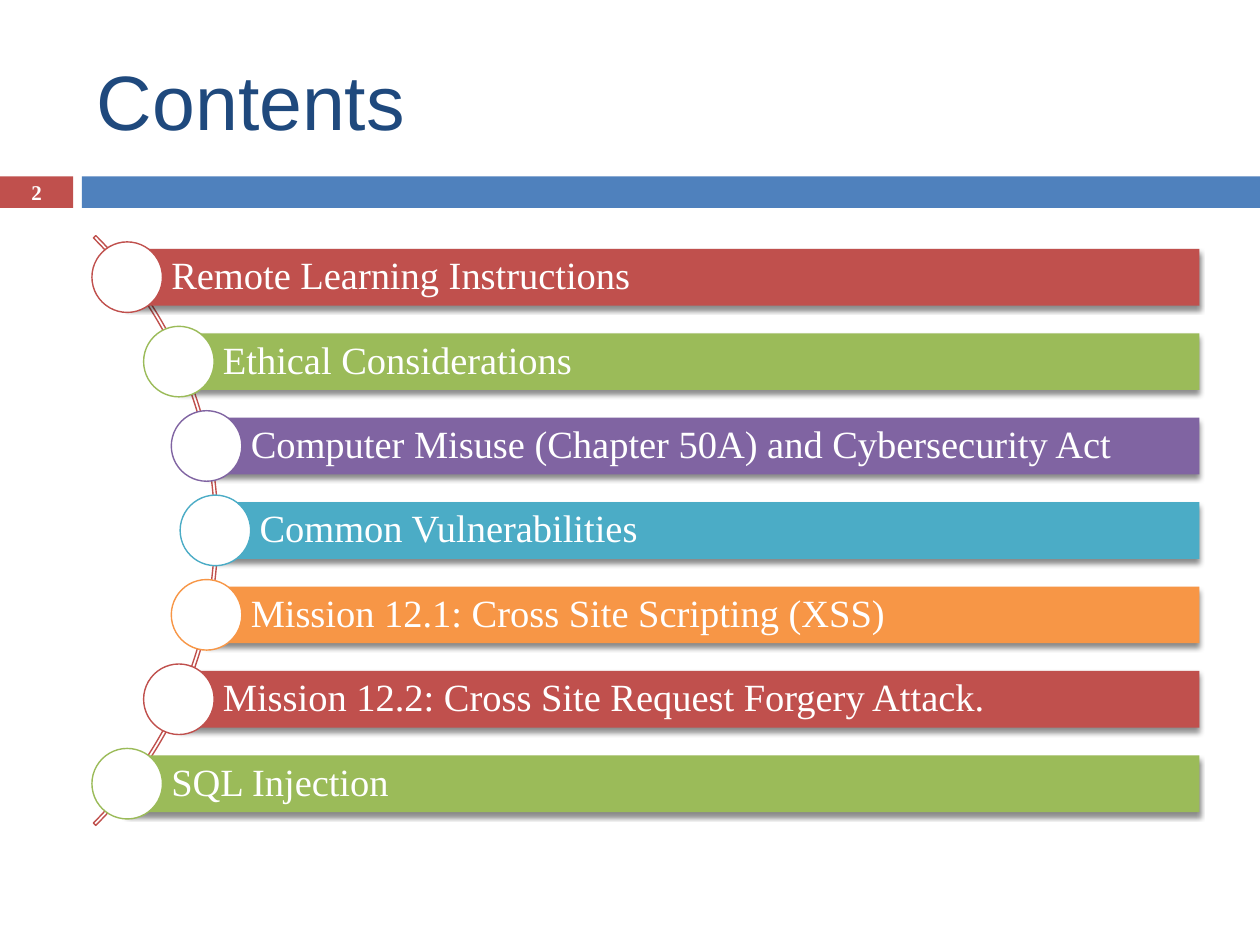
from lxml import etree
from pptx import Presentation
from pptx.dml.color import RGBColor
from pptx.enum.shapes import MSO_SHAPE as Shape
from pptx.enum.text import MSO_ANCHOR as Anchor, PP_ALIGN as Align
from pptx.oxml.ns import qn
from pptx.util import Inches, Pt

COLORS = {
    "white": "FFFFFF", "navy": "1F497D", "blue": "4F81BD", "red": "C0504D",
    "green": "9BBB59", "purple": "8064A2", "teal": "4BACC6",
    "orange": "F79646", "black": "000000",
}
TITLE = "Contents"
SLIDE_NUMBER = "2"
# Topic, colour, left edge of its bar along the arc
TOPICS = [
    ("Remote Learning Instructions", "red", 1.01),
    ("Ethical Considerations", "green", 1.42),
    ("Computer Misuse (Chapter 50A) and Cybersecurity Act", "purple", 1.64),
    ("Common Vulnerabilities", "teal", 1.71),
    ("Mission 12.1: Cross Site Scripting (XSS)", "orange", 1.64),
    ("Mission 12.2: Cross Site Request Forgery Attack.", "red", 1.42),
    ("SQL Injection", "green", 1.01),
]
FIRST_CENTER, ROW_PITCH = 2.2, 0.67
BAR_HEIGHT, BAR_RIGHT = 0.45, 9.52
CIRCLE_SIZE = 0.56


def rgb(name):
    return RGBColor.from_string(COLORS[name])


def add_shape(slide, kind, box, fill=None, line=None):
    shape = slide.shapes.add_shape(kind, *map(Inches, box))
    shape.shadow.inherit = False
    if fill:
        shape.fill.solid()
        shape.fill.fore_color.rgb = rgb(fill)
    else:
        shape.fill.background()
    if line:
        shape.line.color.rgb = rgb(line)
        shape.line.width = Pt(0.79)
    else:
        shape.line.fill.background()
    return shape


def set_text(shape, text, size, color, font="Times New Roman",
             align=Align.LEFT, bold=False, insets=(0.1, 0.05, 0.1, 0.05)):
    frame = shape.text_frame
    frame.word_wrap = True
    frame.vertical_anchor = Anchor.MIDDLE
    (frame.margin_left, frame.margin_top,
     frame.margin_right, frame.margin_bottom) = map(Inches, insets)
    paragraph = frame.paragraphs[0]
    paragraph.text = text
    paragraph.alignment = align
    paragraph.font.name = font
    paragraph.font.size = Pt(size)
    paragraph.font.bold = bold
    paragraph.font.color.rgb = rgb(color)
    return paragraph


def add_shadow(shape):
    effects = shape._element.spPr.find(qn("a:effectLst"))
    shadow = etree.SubElement(
        effects, qn("a:outerShdw"), blurRad=str(Pt(3)), dist=str(Pt(2.4)),
        dir="5400000", rotWithShape="0")
    color = etree.SubElement(shadow, qn("a:srgbClr"), val=COLORS["black"])
    etree.SubElement(color, qn("a:alpha"), val="45000")


presentation = Presentation()
presentation.slide_width = Inches(10)
presentation.slide_height = Inches(7.5)
slide = presentation.slides.add_slide(presentation.slide_layouts[6])

# Header band, slide number and title
number_box = add_shape(slide, Shape.RECTANGLE, (0, 1.4, 0.58, 0.25), "red")
set_text(number_box, SLIDE_NUMBER, 12, "white", align=Align.CENTER, bold=True,
         insets=(0, 0, 0, 0))
add_shape(slide, Shape.RECTANGLE, (0.65, 1.4, 9.35, 0.25), "blue")
title = slide.shapes.add_textbox(*map(Inches, (0.67, 0.25, 8.92, 1.08)))
set_text(title, TITLE, 44, "navy", font="Arial")

# Arc behind the topics
arc = add_shape(slide, Shape.BLOCK_ARC, (-4.89, 0.9, 6.62, 6.62), line="red")
for index, value in enumerate((189, 27, 0.004)):  # start, end, thickness
    arc.adjustments[index] = value

# Topic bars, each with a circle centred on its left edge
for row, (topic, color, left) in enumerate(TOPICS):
    center = FIRST_CENTER + row * ROW_PITCH
    bar = add_shape(slide, Shape.RECTANGLE,
                    (left, center - BAR_HEIGHT / 2, BAR_RIGHT - left, BAR_HEIGHT),
                    color)
    add_shadow(bar)
    paragraph = set_text(bar, topic, 22, "white",
                         insets=(0.35, 0.06, 0.06, 0.06))
    paragraph.line_spacing = 0.9
    add_shape(slide, Shape.OVAL,
              (left - CIRCLE_SIZE / 2, center - CIRCLE_SIZE / 2,
               CIRCLE_SIZE, CIRCLE_SIZE), "white", color)

presentation.save("out.pptx")
